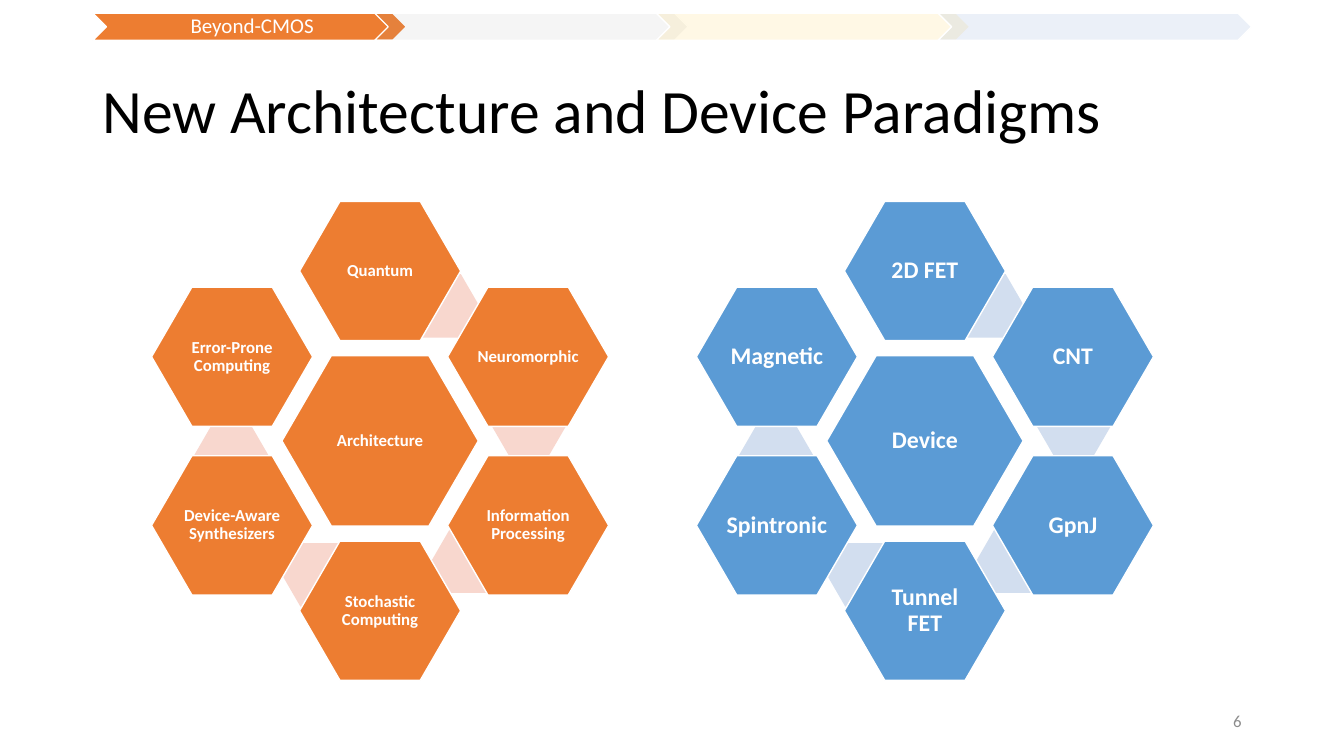
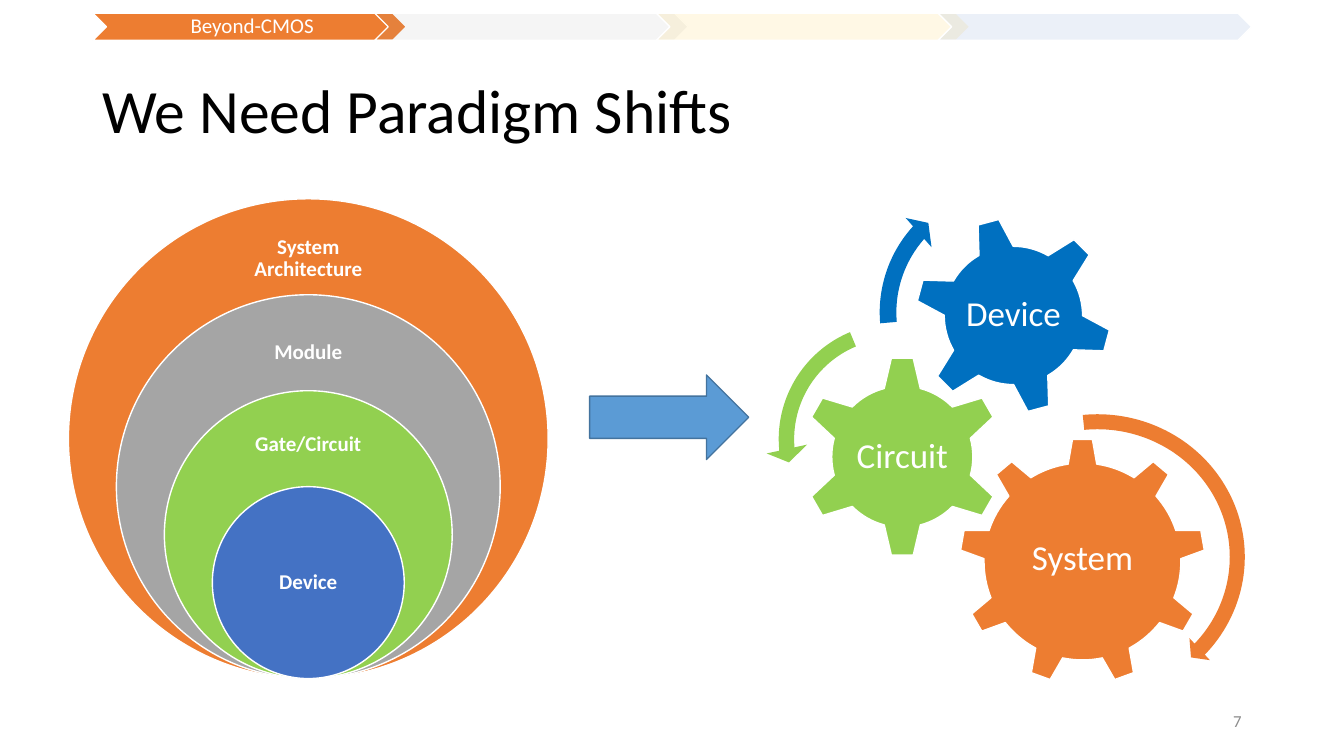
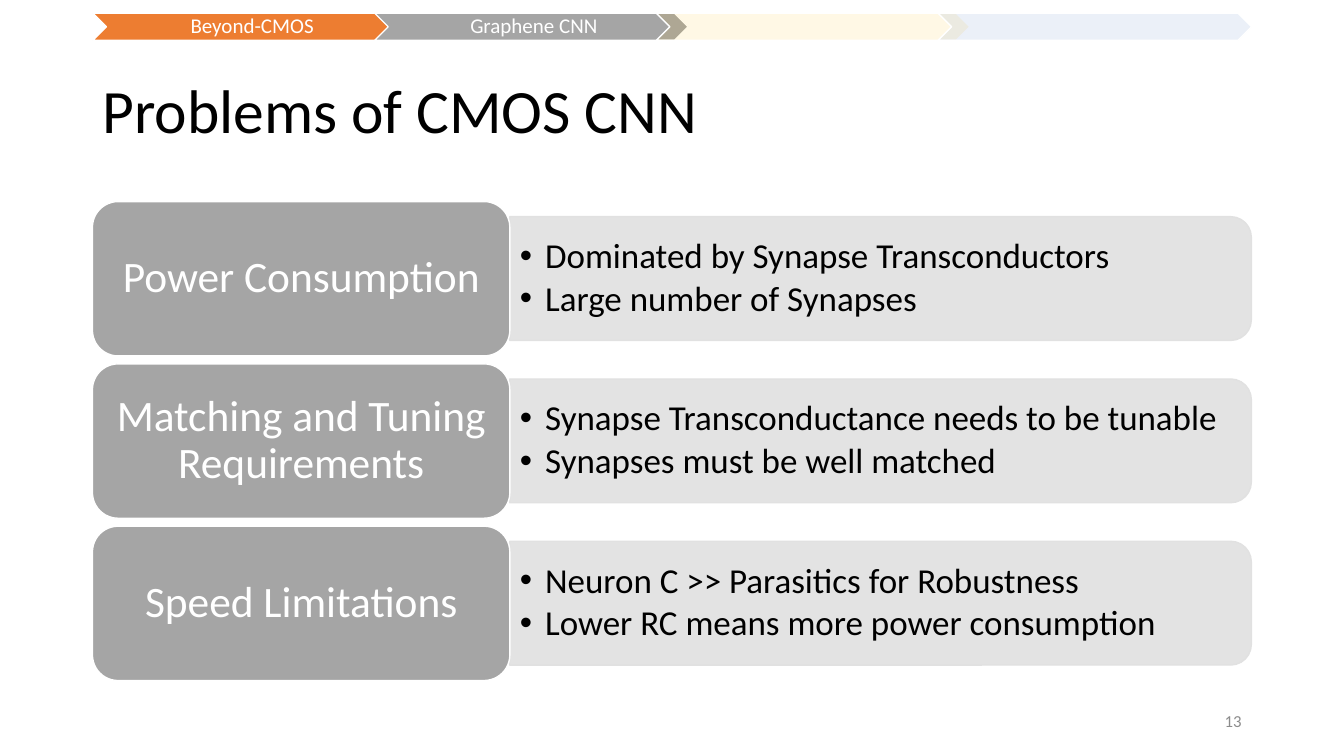
from lxml.etree import SubElement
from pptx import Presentation
from pptx.dml.color import RGBColor
from pptx.enum.shapes import MSO_SHAPE
from pptx.enum.text import MSO_ANCHOR, PP_ALIGN
from pptx.oxml.ns import qn
from pptx.util import Cm, Pt

WHITE = RGBColor(0xFF, 0xFF, 0xFF)
BLACK = RGBColor(0, 0, 0)
GREY = RGBColor(0xA5, 0xA5, 0xA5)
PALE = RGBColor(0xE1, 0xE1, 0xE1)
DIM = RGBColor(0x8C, 0x8C, 0x8C)
ORANGE = RGBColor(0xED, 0x7D, 0x31)
PEACH = RGBColor(0xF8, 0xD7, 0xCE)
GOLD = RGBColor(0xFF, 0xC0, 0x00)
GREEN = RGBColor(0x92, 0xD0, 0x50)
BLUE = RGBColor(0x44, 0x72, 0xC4)
SKY = RGBColor(0x5B, 0x9B, 0xD5)
MIST = RGBColor(0xD2, 0xDE, 0xEF)
STEEL = RGBColor(0x43, 0x73, 0x9E)
DEEP = RGBColor(0x00, 0x70, 0xC0)
FONT = "Calibri"

STEPS = [ORANGE, GREY, GOLD, BLUE]
TOPICS = ["Beyond-CMOS", "Graphene CNN"]

# Centre x, fill, link fill, text size, middle label, labels clockwise from the top
COMBS = [
    (9.58, ORANGE, PEACH, 12, "Architecture",
     ["Quantum", "Neuromorphic", "Information Processing",
      "Stochastic Computing", "Device-Aware Synthesizers",
      "Error-Prone Computing"]),
    (23.31, SKY, MIST, 17, "Device",
     ["2D FET", "CNT", "GpnJ", "Tunnel FET", "Spintronic", "Magnetic"]),
]
COMB_Y = 11.11
CELLS = [(0, -4.28), (3.73, -2.12), (3.73, 2.13),
         (0, 4.28), (-3.73, 2.13), (-3.73, -2.12)]
LINKS = [(1.56, -3.4), (3.75, -0.38), (2.23, 3.03), (-1.53, 3.38), (-3.75, 0.37)]

# Label, fill, share of the largest diameter, centre y of the label
RINGS = [("System Architecture", ORANGE, 1, 6.52), ("Module", GREY, 0.8, 8.88),
         ("Gate/Circuit", GREEN, 0.6, 11.2), ("Device", BLUE, 0.4, 14.68)]
RING_X, RING_END, RING_MAX = 7.77, 17.1, 12.09

# Label, fill, shape, centre x, centre y, size, turn, centre y of the label
GEARS = [("System", ORANGE, MSO_SHAPE.GEAR_9, 27.28, 14.15, 6.2, 0, 14.09),
         ("Circuit", GREEN, MSO_SHAPE.GEAR_6, 22.74, 11.51, 5.08, 0, 11.51),
         ("Device", DEEP, MSO_SHAPE.GEAR_6, 25.54, 7.95, 4.98, 345, 7.95)]
# Fill, shape, box, adjustments
TURNS = [
    (ORANGE, MSO_SHAPE.CIRCULAR_ARROW, (23.76, 10.25, 7.8, 7.57),
     (0.05, 2.99, 25.25, 158.43, 0.05)),
    (GREEN, MSO_SHAPE.LEFT_CIRCULAR_ARROW, (19.3, 7.82, 6.5, 6.5),
     (0.06, 4.3, 104.89, 148.38, 0.08)),
    (DEEP, MSO_SHAPE.CIRCULAR_ARROW, (21.89, 4.37, 7.01, 7.01),
     (0.06, 3.94, 133.14, 105.08, 0.07)),
]

ISSUES = [
    ("Power Consumption",
     ["Dominated by Synapse Transconductors", "Large number of Synapses"]),
    ("Matching and Tuning Requirements",
     ["Synapse Transconductance needs to be tunable",
      "Synapses must be well matched"]),
    ("Speed Limitations",
     ["Neuron C >> Parasitics for Robustness",
      "Lower RC means more power consumption"]),
]


def around(x, y, wide, high):
    """Return the box with the given centre."""
    return x - wide / 2, y - high / 2, wide, high


def write(item, *lines, size, color=WHITE, bold=False, align=PP_ALIGN.CENTER,
          pads=(0.05, 0.05, 0.05, 0.05), spacing=0.9, after=0, bullet=False):
    frame = item.text_frame
    frame.word_wrap = True
    frame.vertical_anchor = MSO_ANCHOR.MIDDLE
    (frame.margin_left, frame.margin_top,
     frame.margin_right, frame.margin_bottom) = map(Cm, pads)
    for i, line in enumerate(lines):
        para = frame.add_paragraph() if i else frame.paragraphs[0]
        para.alignment = align
        para.line_spacing = spacing
        para.space_after = Pt(after)
        if bullet:
            props = para._p.get_or_add_pPr()
            props.set("marL", str(Cm(0.64)))
            props.set("indent", str(-Cm(0.64)))
            SubElement(props, qn("a:buFont"), typeface="Arial")
            SubElement(props, qn("a:buChar"), char="•")
        run = para.add_run()
        run.text = line
        font = run.font
        font.name, font.size, font.bold = FONT, Pt(size), bold
        font.color.rgb = color


def label(slide, box, *lines, **style):
    write(slide.shapes.add_textbox(*map(Cm, box)), *lines, **style)


def draw(slide, kind, box, fill, line=WHITE, alpha=100, adjust=(), turn=0):
    """Add a filled shape; alpha is the opacity of its fill in percent."""
    shape = slide.shapes.add_shape(kind, *map(Cm, box))
    shape.shadow.inherit = False
    shape.rotation = turn
    for i, value in enumerate(adjust):
        shape.adjustments[i] = value
    shape.fill.solid()
    shape.fill.fore_color.rgb = fill
    if alpha < 100:
        tint = next(shape._element.spPr.iter(qn("a:srgbClr")))
        SubElement(tint, qn("a:alpha"), val=str(alpha * 1000))
    if line is None:
        shape.line.fill.background()
    else:
        shape.line.color.rgb = line
        shape.line.width = Pt(1)
    return shape


def start(deck, title, number, done):
    """Add a slide with title, number and step band; done steps are solid."""
    slide = deck.slides.add_slide(deck.slide_layouts[6])
    label(slide, (2.33, 1.01, 29.21, 3.68), title, size=44, color=BLACK,
          align=PP_ALIGN.LEFT, pads=(0.25, 0.13, 0.25, 0.13))
    for i, fill in enumerate(STEPS):
        step = draw(slide, MSO_SHAPE.CHEVRON, (2.34 + 7.1 * i, 0.33, 7.9, 0.69),
                    fill, alpha=100 if i < done else 10)
        if i < done:
            write(step, TOPICS[i], size=15, pads=(0.18, 0.05, 0.05, 0.05))
    label(slide, (23.92, 17.65, 7.62, 1.01), str(number), size=12, color=DIM,
          align=PP_ALIGN.RIGHT, pads=(0.25, 0.13, 0.25, 0.13), spacing=1)
    return slide


def add_comb(slide, mid, fill, pale, size, core, names):
    def cell(name, box):
        shape = draw(slide, MSO_SHAPE.HEXAGON, box, fill, adjust=[0.29])
        write(shape, name, size=size, bold=True)

    cell(core, around(mid, COMB_Y, 4.95, 4.29))
    for x, y in LINKS:
        draw(slide, MSO_SHAPE.HEXAGON, around(mid + x, COMB_Y + y, 1.88, 1.6),
             pale, line=None, adjust=[0.29])
    for name, (x, y) in zip(names, CELLS):
        cell(name, around(mid + x, COMB_Y + y, 4.06, 3.51))


def add_rings(slide):
    for name, fill, share, y in RINGS:
        size = RING_MAX * share
        draw(slide, MSO_SHAPE.OVAL,
             (RING_X - size / 2, RING_END - size, size, size), fill)
        label(slide, around(RING_X, y, 3.4, 1.8), name, size=15, bold=True,
              pads=(0.3, 0.3, 0.3, 0.3))


def add_gears(slide):
    for name, fill, kind, x, y, size, turn, text_y in GEARS:
        draw(slide, kind, around(x, y, size, size), fill, turn=turn)
        label(slide, around(x, text_y, 3.7, 2.5), name, size=25)
    for fill, kind, box, adjust in TURNS:
        draw(slide, kind, box, fill, line=None, adjust=adjust)


def add_issues(slide):
    for i, (name, points) in enumerate(ISSUES):
        top = 5.08 + 4.09 * i
        mid = top + 1.94
        draw(slide, MSO_SHAPE.ROUND_2_SAME_RECTANGLE,
             around(22.19, mid, 3.12, 18.69), PALE, line=PALE, alpha=90, turn=90)
        label(slide, around(22.12, mid, 18.54, 2.82), *points, size=25,
              color=BLACK, align=PP_ALIGN.LEFT, pads=(0.25, 0.13, 0.25, 0.13),
              after=3.5, bullet=True)
        head = draw(slide, MSO_SHAPE.ROUNDED_RECTANGLE,
                    (2.33, top, 10.52, 3.89), GREY)
        write(head, name, size=31, pads=(0.33, 0.16, 0.33, 0.16))


def main():
    deck = Presentation()
    deck.slide_width, deck.slide_height = Cm(33.87), Cm(19.05)

    slide = start(deck, "New Architecture and Device Paradigms", 6, 1)
    for comb in COMBS:
        add_comb(slide, *comb)

    slide = start(deck, "We Need Paradigm Shifts", 7, 1)
    add_rings(slide)
    add_gears(slide)
    draw(slide, MSO_SHAPE.RIGHT_ARROW, (14.86, 9.45, 4.01, 2.13), SKY, line=STEEL)

    slide = start(deck, "Problems of CMOS CNN", 13, 2)
    add_issues(slide)

    deck.save("out.pptx")


if __name__ == "__main__":
    main()
